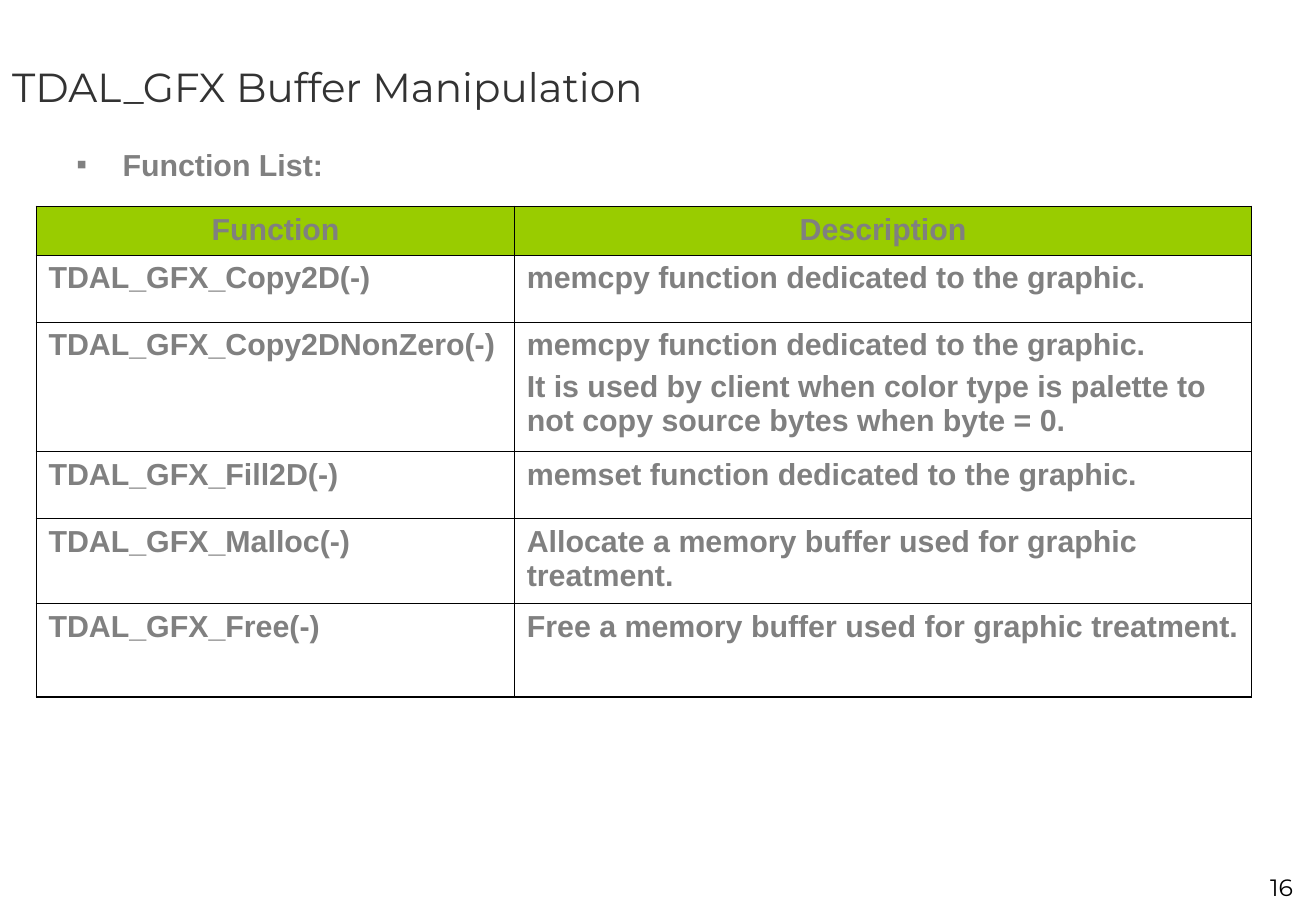
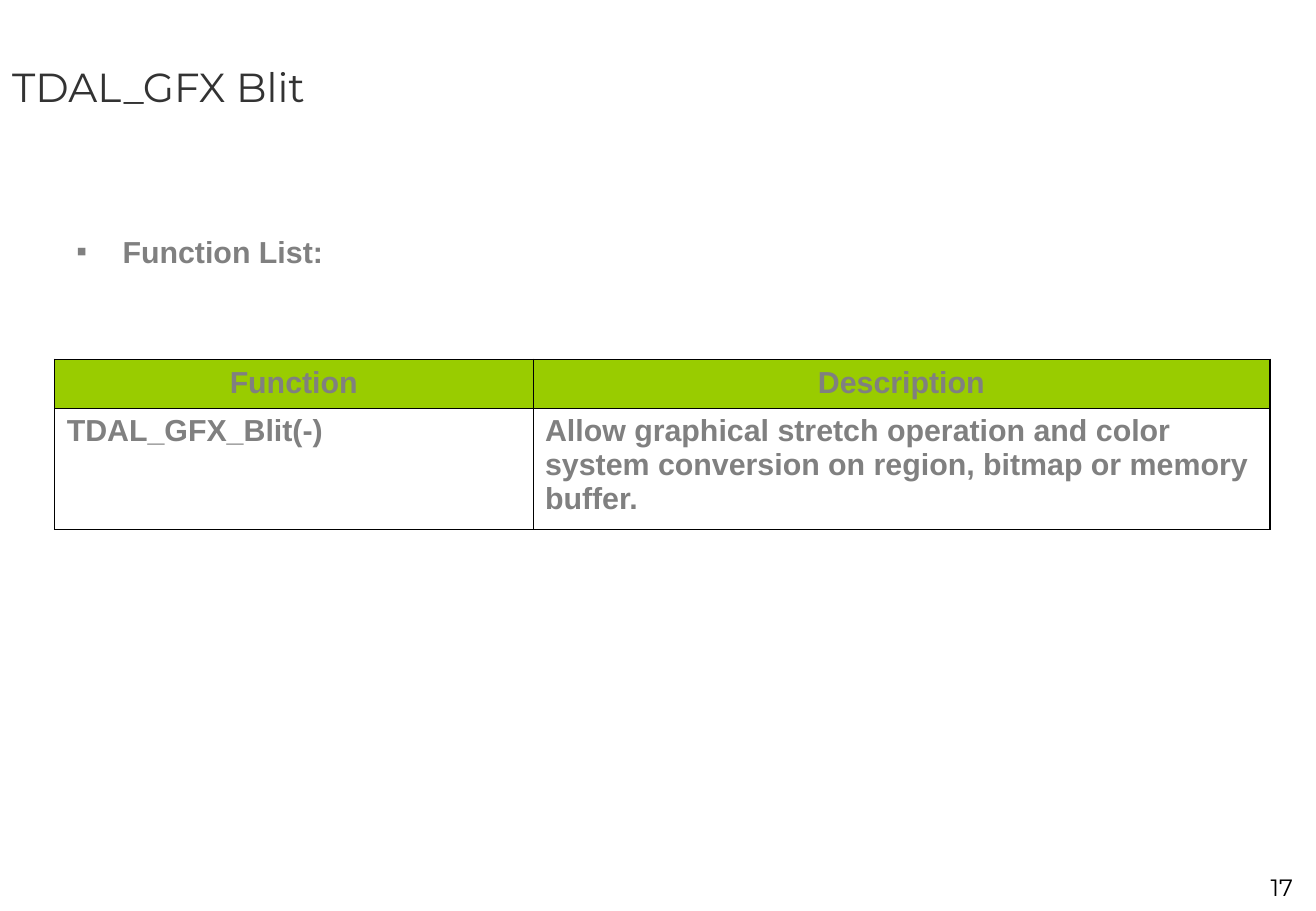
from pptx import Presentation
from pptx.dml.color import RGBColor
from pptx.enum import text
from pptx.oxml import ns, xmlchemy
from pptx.util import Inches, Pt

INK = RGBColor(0x33, 0x33, 0x33)
GREY = RGBColor(0x80, 0x80, 0x80)
GREEN = RGBColor(0x99, 0xCC, 0x00)
BLACK = RGBColor(0, 0, 0)
TITLE_FONT, BODY_FONT = "Montserrat", "Arial"
OUTER, INNER = Pt(1.08), Pt(0.45)
SPACE_BEFORE = Pt(4.5)
COLUMNS = (3.94, 6.07)
HEADER = ("Function", ["Description"], 0.4)

PAGES = [
    {
        "number": 16,
        "title": "TDAL_GFX Buffer Manipulation",
        "list_inset": 0.05,
        "table_at": (0.3, 1.7),
        "rows": [
            ("TDAL_GFX_Copy2D(-)", ["memcpy function dedicated to the graphic."], 0.55),
            ("TDAL_GFX_Copy2DNonZero(-)",
             ["memcpy function dedicated to the graphic.",
              "It is used by client when color type is palette to not copy "
              "source bytes when byte = 0."], 1.07),
            ("TDAL_GFX_Fill2D(-)", ["memset function dedicated to the graphic."], 0.55),
            ("TDAL_GFX_Malloc(-)",
             ["Allocate a memory buffer used for graphic treatment."], 0.7),
            ("TDAL_GFX_Free(-)",
             ["Free a memory buffer used for graphic treatment."], 0.77),
        ],
    },
    {
        "number": 17,
        "title": "TDAL_GFX Blit",
        "list_inset": 0.77,
        "table_at": (0.45, 2.96),
        "rows": [
            ("TDAL_GFX_Blit(-)",
             ["Allow graphical stretch operation and color system conversion "
              "on region, bitmap or memory buffer."], 1),
        ],
    },
]


def place(shape, left, top, width, height):
    """Move and size a shape, in inches."""
    shape.left, shape.top = Inches(left), Inches(top)
    shape.width, shape.height = Inches(width), Inches(height)


def add_span(para, words, font, size, colour, bold=False):
    """Add one formatted run to a paragraph."""
    span = para.add_run()
    span.text = words
    span.font.name, span.font.size, span.font.bold = font, Pt(size), bold
    span.font.color.rgb = colour


def add_child(parent, tag, **attributes):
    """Append a drawing element to a parent and return it."""
    child = xmlchemy.OxmlElement(tag)
    for name, value in attributes.items():
        child.set(name, str(value))
    parent.append(child)
    return child


def add_bullet(para):
    """Give a paragraph a hanging grey square bullet."""
    properties = para._p.get_or_add_pPr()
    properties.set("marL", str(Inches(0.38)))
    properties.set("indent", str(-Inches(0.38)))
    colour = add_child(properties, "a:buClr")
    add_child(colour, "a:srgbClr", val=GREY)
    add_child(properties, "a:buFont", typeface=BODY_FONT)
    add_child(properties, "a:buChar", char="▪")


def add_title(page, words):
    """Fill the title placeholder."""
    box = page.shapes.title
    place(box, 0, 0, 10.83, 1.42)
    frame = box.text_frame
    frame.vertical_anchor = text.MSO_ANCHOR.MIDDLE
    para = frame.paragraphs[0]
    para.alignment = text.PP_ALIGN.LEFT
    add_span(para, words, TITLE_FONT, 24, INK)


def add_list(page, words, inset):
    """Fill the body placeholder with one bullet below the top inset."""
    box = page.placeholders[1]
    place(box, 0.53, 1.15, 9.91, 4.95)
    box.text_frame.margin_top = Inches(inset)
    para = box.text_frame.paragraphs[0]
    para.space_before = SPACE_BEFORE
    add_bullet(para)
    add_span(para, words, BODY_FONT, 18, GREY, True)


def set_borders(cell, widths):
    """Draw black cell borders from widths keyed by side."""
    properties = cell._tc.get_or_add_tcPr()
    for index, side in enumerate("LRTB"):
        line = add_child(properties, f"a:ln{side}", w=widths[side])
        fill = add_child(line, "a:solidFill")
        add_child(fill, "a:srgbClr", val=BLACK)
        properties.insert(index, line)


def fill_cell(cell, lines, is_header):
    """Write the paragraphs of a cell and set its fill."""
    if is_header:
        cell.fill.solid()
        cell.fill.fore_color.rgb = GREEN
    else:
        cell.fill.background()
    for index, words in enumerate(lines):
        frame = cell.text_frame
        para = frame.add_paragraph() if index else frame.paragraphs[0]
        para.alignment = text.PP_ALIGN.CENTER if is_header else text.PP_ALIGN.LEFT
        para.space_before = SPACE_BEFORE
        add_span(para, words, BODY_FONT, 18, GREY, True)


def add_function_table(page, left, top, entries):
    """Add the table of functions and descriptions."""
    rows = [HEADER, *entries]
    height = sum(row[2] for row in rows)
    table = page.shapes.add_table(
        len(rows), len(COLUMNS), Inches(left), Inches(top),
        Inches(sum(COLUMNS)), Inches(height)).table
    table.horz_banding = table.first_row = False
    for column, width in zip(table.columns, COLUMNS):
        column.width = Inches(width)
    last_row, last_column = len(rows) - 1, len(COLUMNS) - 1
    for r, (name, description, row_height) in enumerate(rows):
        table.rows[r].height = Inches(row_height)
        for c, lines in enumerate(([name], description)):
            cell = table.cell(r, c)
            fill_cell(cell, lines, r == 0)
            edges = {"L": c == 0, "R": c == last_column,
                     "T": r == 0, "B": r == last_row}
            set_borders(cell, {side: OUTER if edge else INNER
                               for side, edge in edges.items()})


def add_page_number(page, number):
    """Add the page number at the lower right."""
    box = page.shapes.add_textbox(
        Inches(9.59), Inches(7.14), Inches(1.16), Inches(0.33))
    box.text_frame.word_wrap = True
    para = box.text_frame.paragraphs[0]
    para.alignment = text.PP_ALIGN.RIGHT
    add_span(para, str(number), TITLE_FONT, 14, BLACK)


def add_function_page(deck, content):
    """Add one slide with a title, a list heading and a function table."""
    page = deck.slides.add_slide(deck.slide_layouts[1])
    add_title(page, content["title"])
    add_list(page, "Function List:", content["list_inset"])
    add_function_table(page, *content["table_at"], content["rows"])
    add_page_number(page, content["number"])


def main():
    """Build the deck and save it."""
    deck = Presentation()
    deck.slide_width, deck.slide_height = Inches(10.84), Inches(7.5)
    for content in PAGES:
        add_function_page(deck, content)
    deck.save("out.pptx")


if __name__ == "__main__":
    main()
